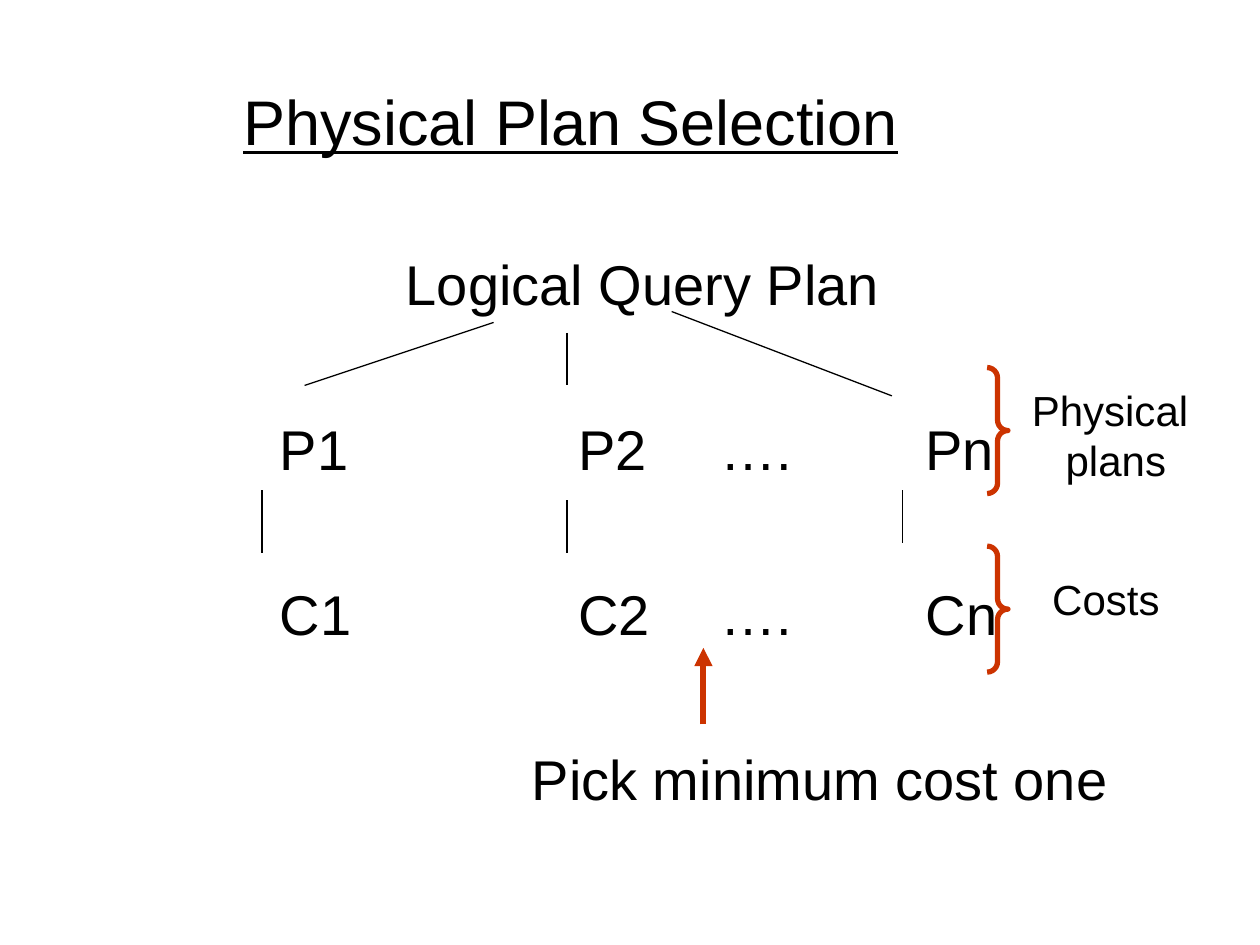
import pptx
import pptx.dml.color
import pptx.enum.shapes
import pptx.enum.text
import pptx.oxml.ns
import pptx.util
from lxml import etree

Cm = pptx.util.Cm
Pt = pptx.util.Pt
ALIGN = pptx.enum.text.PP_ALIGN
ANCHOR = pptx.enum.text.MSO_ANCHOR
BLACK = "000000"
RED = "CC3300"


def color(hex_string):
    return pptx.dml.color.RGBColor.from_string(hex_string)


def add_element(parent, tag, **attributes):
    return etree.SubElement(parent, pptx.oxml.ns.qn(tag), attributes)


def write_text(shape, lines, size=32, align=ALIGN.LEFT, anchor=ANCHOR.TOP,
               wrap=True, underline=None, gap=0, tab_rows=()):
    """Write one paragraph per line; tab_rows lists each line's tab stops in cm."""
    frame = shape.text_frame
    frame.word_wrap = wrap
    frame.vertical_anchor = anchor
    for index, line in enumerate(lines):
        paragraph = frame.paragraphs[0] if index == 0 else frame.add_paragraph()
        paragraph.alignment = align
        paragraph.space_before = Pt(gap if index else 0)
        if tab_rows:
            tabs = add_element(paragraph._p.get_or_add_pPr(), "a:tabLst")
            for stop in tab_rows[index]:
                add_element(tabs, "a:tab", pos=str(int(Cm(stop))), algn="l")
        run = paragraph.add_run()
        run.text = line
        run.font.name = "Arial"
        run.font.size = Pt(size)
        run.font.underline = underline
        run.font.color.rgb = color(BLACK)


def add_line(slide, start, end, line_color=BLACK, width=0.75, arrow=False):
    connector = slide.shapes.add_connector(
        pptx.enum.shapes.MSO_CONNECTOR.STRAIGHT,
        *(Cm(length) for length in (*start, *end)))
    connector.line.color.rgb = color(line_color)
    connector.line.width = Pt(width)
    if arrow:
        add_element(connector.line._get_or_add_ln(), "a:tailEnd", type="triangle")
    add_element(connector._element.spPr, "a:effectLst")


def add_title(slide, left, top, width, height):
    title = slide.shapes.title
    title.left, title.top, title.width, title.height = (
        Cm(length) for length in (left, top, width, height))
    write_text(title, ["Physical Plan Selection"], size=36, underline=True,
               anchor=ANCHOR.MIDDLE)


def add_plan_tree(slide, left, top, width, height):
    """Logical plan, its physical plans, their costs and the final choice."""
    text_box = slide.shapes.add_textbox(Cm(left), Cm(top), Cm(width), Cm(height))
    columns = (3.49, 9.51, 12.37, 16.51)
    write_text(
        text_box,
        ["\tLogical Query Plan", "\tP1\tP2\t….\tPn", "\tC1\tC2\t….\tCn",
         "\tPick minimum cost one"],
        gap=56, tab_rows=[(6.03,), columns, columns, (8.57,)])

    branches = [
        ((8.05, 1.6), (4.24, 2.87)),
        ((9.53, 1.81), (9.53, 2.87)),
        ((11.64, 1.38), (16.08, 3.08)),
    ]
    plan_to_cost = [
        ((3.38, 4.98), (3.38, 6.25)),
        ((9.53, 5.18), (9.53, 6.25)),
        ((16.3, 4.98), (16.3, 6.04)),
    ]
    for (x1, y1), (x2, y2) in branches + plan_to_cost:
        add_line(slide, (left + x1, top + y1), (left + x2, top + y2))
    add_line(slide, (left + 12.28, top + 9.7), (left + 12.28, top + 8.16),
             RED, 3.5, arrow=True)


def add_brace_label(slide, left, top, width, height, lines, label_left,
                    label_top, label_width, label_height):
    """Brace filling the box, with a label placed relative to the box."""
    brace = slide.shapes.add_shape(
        pptx.enum.shapes.MSO_SHAPE.RIGHT_BRACE,
        Cm(left), Cm(top), Cm(width), Cm(height))
    brace.adjustments[0] = 0.5
    brace.shadow.inherit = False
    brace.fill.background()
    brace.line.color.rgb = color(RED)
    brace.line.width = Pt(3)
    label = slide.shapes.add_textbox(
        Cm(left + label_left), Cm(top + label_top), Cm(label_width), Cm(label_height))
    write_text(label, lines, size=24, align=ALIGN.CENTER, wrap=False)


def main():
    presentation = pptx.Presentation()
    presentation.slide_width = Cm(25.4)
    presentation.slide_height = Cm(19.05)
    slide = presentation.slides.add_slide(presentation.slide_layouts[5])
    add_title(slide, 4.65, 0.84, 21.59, 3.18)
    add_plan_tree(slide, 1.9, 4.9, 22.86, 11.43)
    add_brace_label(slide, 19.9, 7.41, 0.42, 2.54, ["Physical ", "plans"],
                    0.65, 0.21, 3.89, 2.29)
    add_brace_label(slide, 19.9, 11.01, 0.42, 2.54, ["Costs"],
                    1.06, 0.42, 2.67, 1.27)
    presentation.save("out.pptx")


if __name__ == "__main__":
    main()
